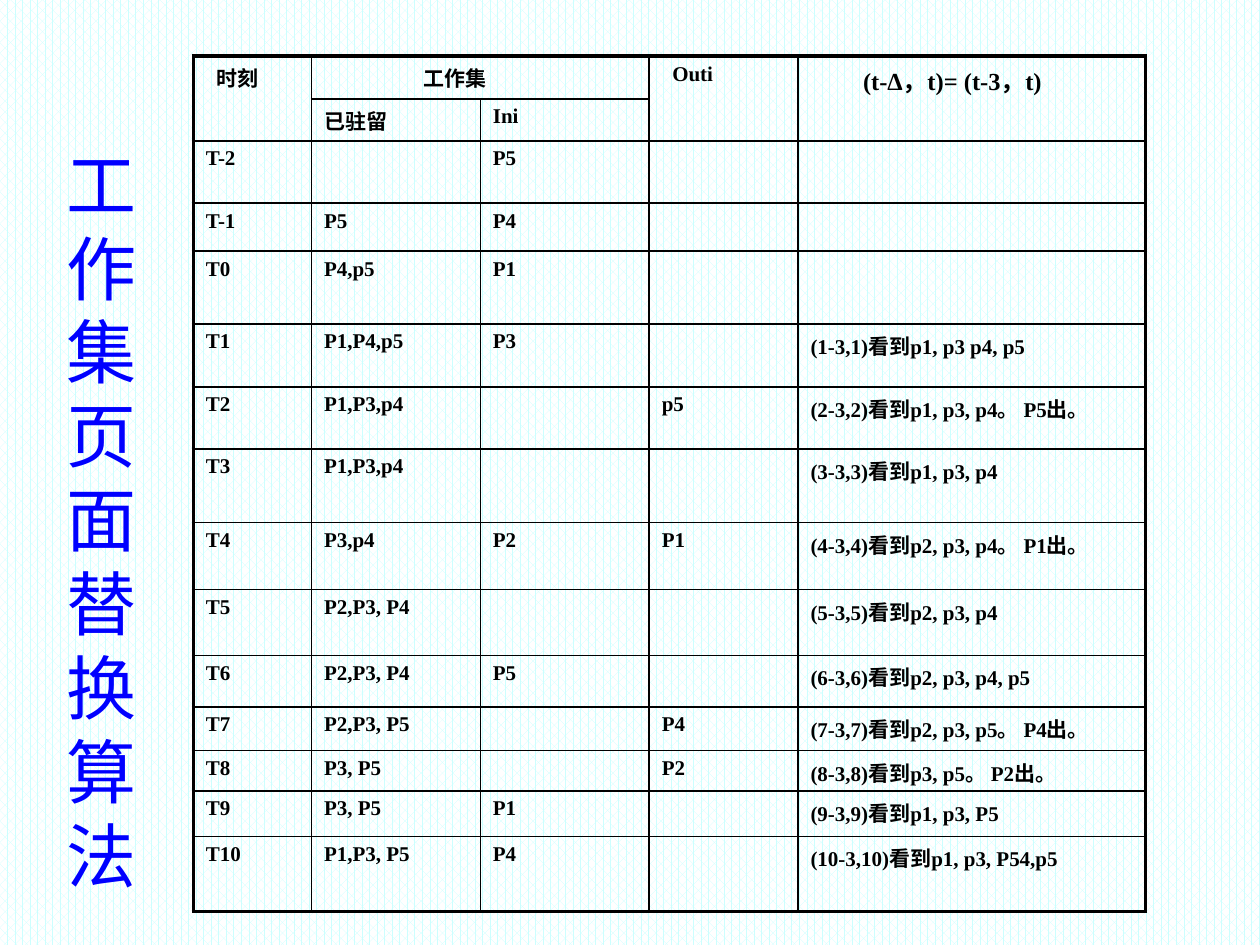
from dataclasses import dataclass

import pptx
import pptx.dml.color
import pptx.enum.dml
import pptx.enum.text
import pptx.oxml.ns
import pptx.util
from lxml import etree

Pt = pptx.util.Pt
RGB = pptx.dml.color.RGBColor.from_string
qn = pptx.oxml.ns.qn


@dataclass
class Theme:
    ink: str = "000000"
    title: str = "0000FF"
    pattern: str = "CCFFFF"
    paper: str = "FFFFFF"
    latin: str = "Times New Roman"
    cjk: str = "Noto Sans CJK JP"
    title_size: float = 40
    body_size: float = 12
    window_size: float = 14
    inner_line: float = 1
    outer_line: float = 2.25
    cell_margin: float = 7.2


TITLE = "工作集页面替换算法"
COLUMNS = [67.5, 96.5, 96.5, 85, 198.5]
HEIGHTS = [24.5, 23, 35.5, 27.5, 41.5, 36, 35.5, 42, 38.5, 37.5, 29.5, 25, 23, 26, 43]
ROWS = [
    ["时刻", "工作集", "", "Outi", "(t-Δ，t)= (t-3，t)"],
    ["", "已驻留", "Ini", "", ""],
    ["T-2", "", "P5", "", ""],
    ["T-1", "P5", "P4", "", ""],
    ["T0", "P4,p5", "P1", "", ""],
    ["T1", "P1,P4,p5", "P3", "", "(1-3,1)看到p1, p3 p4, p5"],
    ["T2", "P1,P3,p4", "", "p5", "(2-3,2)看到p1, p3, p4。 P5出。"],
    ["T3", "P1,P3,p4", "", "", "(3-3,3)看到p1, p3, p4"],
    ["T4", "P3,p4", "P2", "P1", "(4-3,4)看到p2, p3, p4。 P1出。"],
    ["T5", "P2,P3, P4", "", "", "(5-3,5)看到p2, p3, p4"],
    ["T6", "P2,P3, P4", "P5", "", "(6-3,6)看到p2, p3, p4, p5"],
    ["T7", "P2,P3, P5", "", "P4", "(7-3,7)看到p2, p3, p5。 P4出。"],
    ["T8", "P3, P5", "", "P2", "(8-3,8)看到p3, p5。 P2出。"],
    ["T9", "P3, P5", "P1", "", "(9-3,9)看到p1, p3, P5"],
    ["T10", "P1,P3, P5", "P4", "", "(10-3,10)看到p1, p3, P54,p5"],
]
MERGES = [((0, 0), (1, 0)), ((0, 1), (0, 2)), ((0, 3), (1, 3)), ((0, 4), (1, 4))]
HEADER_INDENTS = {0: 6, 1: 57, 3: 6, 4: 30}


class Deck:
    def __init__(self, theme, width, height):
        self.theme = theme
        self.prs = pptx.Presentation()
        self.prs.slide_width, self.prs.slide_height = Pt(width), Pt(height)
        self.slide = None

    def add_slide(self):
        self.slide = self.prs.slides.add_slide(self.prs.slide_layouts[5])
        fill = self.slide.background.fill
        fill.patterned()
        fill.pattern = pptx.enum.dml.MSO_PATTERN.PERCENT_60
        fill.fore_color.rgb = RGB(self.theme.pattern)
        fill.back_color.rgb = RGB(self.theme.paper)

    def set_font(self, p, latin, size, color, bold):
        p.font.name, p.font.size, p.font.bold = latin, Pt(size), bold
        p.font.color.rgb = RGB(color)
        defaults = p._p.pPr.find(qn("a:defRPr"))
        etree.SubElement(defaults, qn("a:ea"), typeface=self.theme.cjk)

    def vertical_title(self, text, left, top, width, height):
        """Stack the title one character a line, by wrapping in a narrow box."""
        sp = self.slide.shapes.title
        sp.left, sp.top, sp.width, sp.height = map(Pt, (left, top, width, height))
        tf = sp.text_frame
        tf.word_wrap = True
        tf.auto_size = pptx.enum.text.MSO_AUTO_SIZE.SHAPE_TO_FIT_TEXT
        tf.vertical_anchor = pptx.enum.text.MSO_ANCHOR.TOP
        tf.text = text
        p = tf.paragraphs[0]
        p.alignment = pptx.enum.text.PP_ALIGN.LEFT
        self.set_font(p, self.theme.cjk, self.theme.title_size, self.theme.title, False)

    def border(self, cell, side, width):
        ln = etree.SubElement(cell._tc.get_or_add_tcPr(), qn(f"a:ln{side}"), w=str(Pt(width)))
        fill = etree.SubElement(ln, qn("a:solidFill"))
        etree.SubElement(fill, qn("a:srgbClr"), val=self.theme.ink)

    def cell(self, cell, text, size, indent, outer):
        """Fill one cell; outer tells for L, R, T and B whether it is a table edge."""
        t = self.theme
        for side, is_edge in outer.items():
            self.border(cell, side, t.outer_line if is_edge else t.inner_line)
        cell.fill.background()
        cell.margin_left = Pt(t.cell_margin + indent)
        cell.text = text
        p = cell.text_frame.paragraphs[0]
        self.set_font(p, t.latin, size, t.ink, True)
        if not text:
            etree.SubElement(p._p, qn("a:endParaRPr"), sz=str(int(size * 100)))

    def table(self, rows, columns, heights, merges, indents, left, top):
        t = self.theme
        frame = self.slide.shapes.add_table(
            len(rows), len(columns), Pt(left), Pt(top), Pt(sum(columns)), Pt(sum(heights)))
        table = frame.table
        table.first_row = table.horz_banding = False
        for column, width in zip(table.columns, columns):
            column.width = Pt(width)
        for row, height in zip(table.rows, heights):
            row.height = Pt(height)
        last_row, last_col = len(rows) - 1, len(columns) - 1
        for r, row in enumerate(rows):
            for c, text in enumerate(row):
                is_window = r == 0 and c == last_col
                outer = {"L": c == 0, "R": c == last_col, "T": r == 0, "B": r == last_row}
                self.cell(table.cell(r, c), text,
                          t.window_size if is_window else t.body_size,
                          indents.get(c, 0) if r == 0 else 0, outer)
        for start, end in merges:
            table.cell(*start).merge(table.cell(*end))


def main():
    deck = Deck(Theme(), 720, 540)
    deck.add_slide()
    deck.table(ROWS, COLUMNS, HEIGHTS, MERGES, HEADER_INDENTS, 110.5, 32)
    deck.vertical_title(TITLE, 31, 77, 51, 443.5)
    deck.prs.save("out.pptx")


if __name__ == "__main__":
    main()
